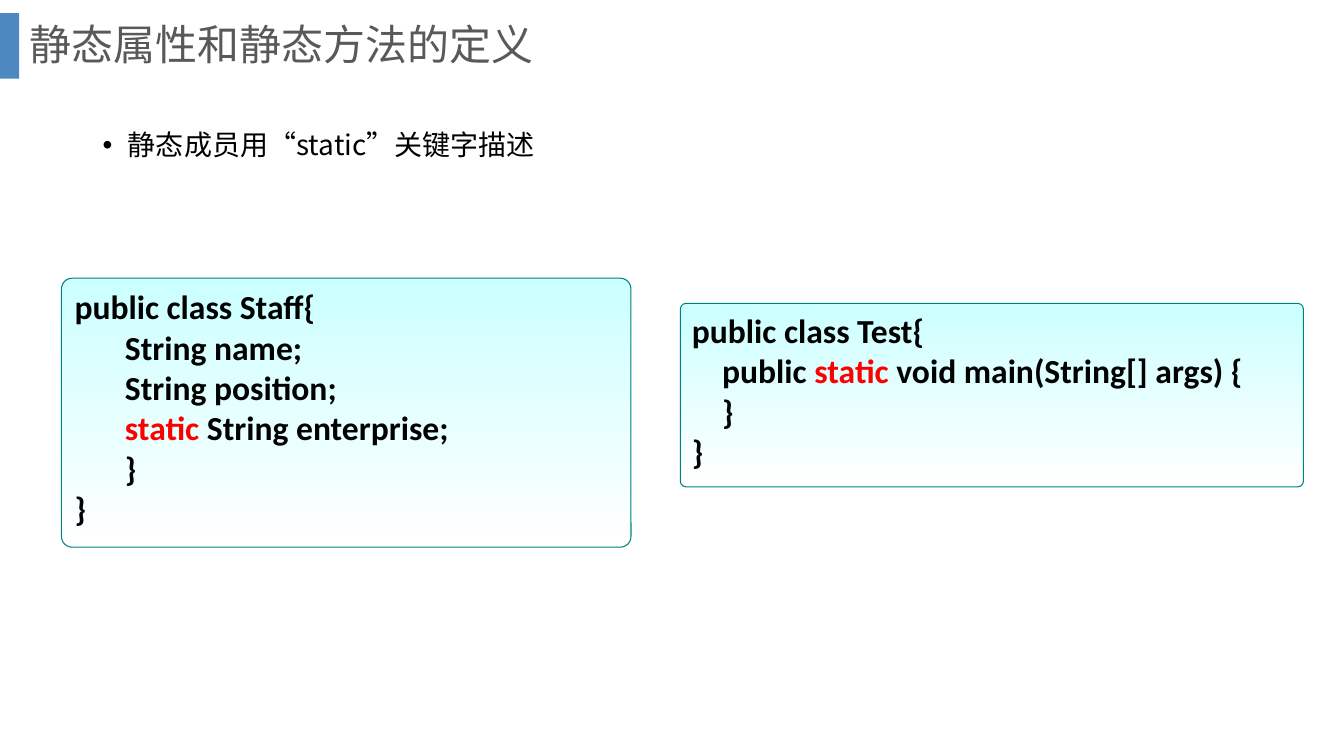
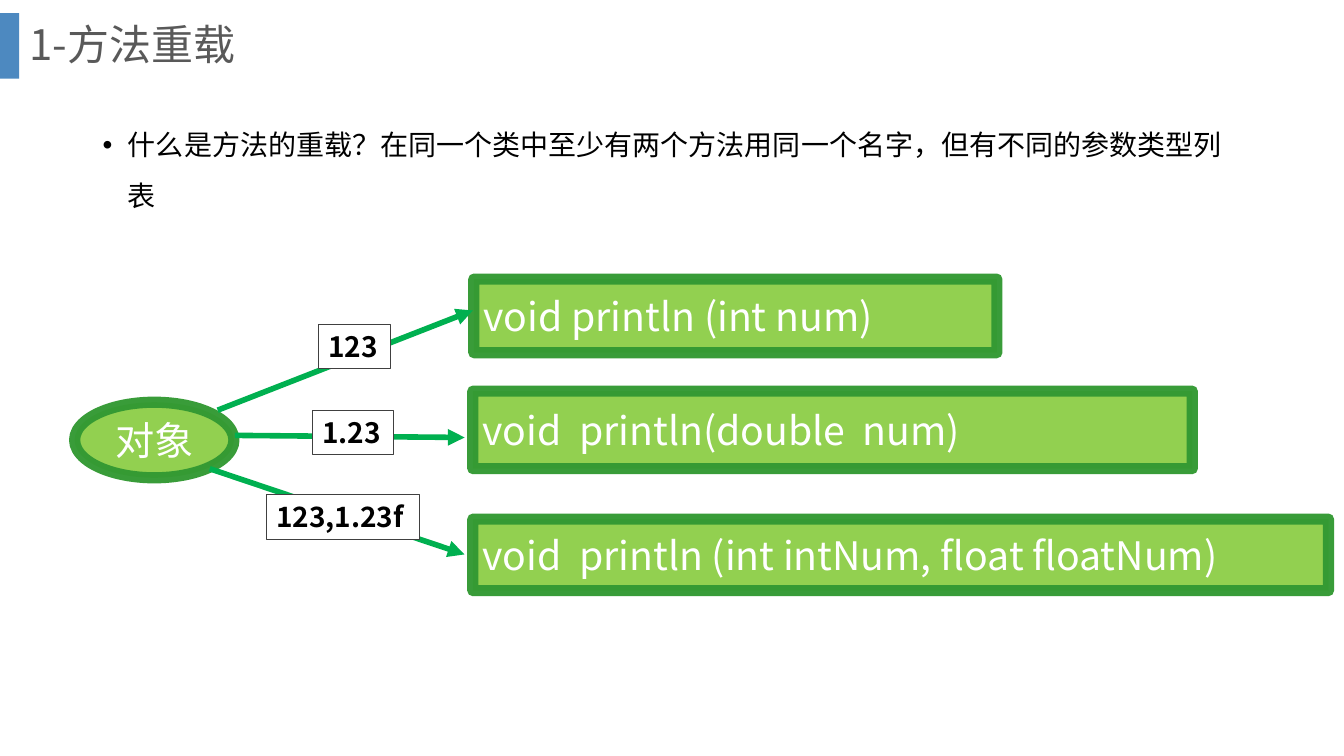
from dataclasses import dataclass

from pptx import Presentation
from pptx.dml.color import RGBColor
from pptx.enum.shapes import MSO_CONNECTOR as Connector, MSO_SHAPE as Shape
from pptx.enum.text import MSO_ANCHOR as Anchor, MSO_AUTO_SIZE as AutoSize, PP_ALIGN as Align
from pptx.oxml.ns import qn
from pptx.util import Pt
from lxml.etree import SubElement


@dataclass(frozen=True)
class Theme:
    font: str = "Noto Sans CJK SC"
    code_font: str = "Calibri"
    title_size: float = 30
    body_size: float = 20
    code_size: float = 24
    node_size: float = 28
    black: str = "000000"
    white: str = "FFFFFF"
    title: str = "595959"
    band: str = "2E75B6"
    keyword: str = "FF0000"
    code_top: str = "CCFFFF"
    code_edge: str = "008080"
    node: str = "92D050"
    node_edge: str = "339933"
    arrow: str = "00B050"
    label_edge: str = "404040"


THEME = Theme()
TITLE_AREA = (13.7, 0, 911.5, 67)
BODY_AREA = (66.2, 75.6, 828, 443.5)
BAND_AREA = (0, 9.4, 13.7, 46.8)


# Text and colour helpers
def rgb(value):
    return RGBColor.from_string(value)


def add_span(para, text, size, color, font=THEME.font, bold=False):
    span = para.add_run()
    span.text = text
    span.font.size = Pt(size)
    span.font.bold = bold
    span.font.color.rgb = rgb(color)
    span.font.name = font
    props = span._r.get_or_add_rPr()
    SubElement(props, qn("a:ea")).set("typeface", font)


def set_indent(para, left, first=0):
    props = para._p.get_or_add_pPr()
    props.set("marL", str(Pt(left)))
    props.set("indent", str(Pt(first)))
    return props


def set_alpha(fill_parent, percent):
    color = fill_parent.find(qn("a:solidFill"))[0]
    SubElement(color, qn("a:alpha")).set("val", str(percent * 1000))


# Shared layout
def place(shape, area):
    shape.left, shape.top, shape.width, shape.height = map(Pt, area)


def prepare_layout(deck):
    """Put the placeholder areas and the blue band on the layout."""
    layout = deck.slide_layouts[1]
    place(layout.placeholders[0], TITLE_AREA)
    place(layout.placeholders[1], BODY_AREA)
    return layout


def add_band(page):
    band = add_box(page, Shape.RECTANGLE, BAND_AREA, THEME.band)
    set_alpha(band.element.spPr, 85)
    page.slide_layout.shapes.element.insert(2, band.element)


def add_page(deck, layout, title, bullet):
    page = deck.slides.add_slide(layout)
    frame = page.shapes.title.text_frame
    frame.vertical_anchor = Anchor.MIDDLE
    frame.auto_size = AutoSize.NONE
    para = frame.paragraphs[0]
    para.alignment = Align.LEFT
    para.line_spacing = 0.9
    add_span(para, title, THEME.title_size, THEME.title)

    frame = page.placeholders[1].text_frame
    frame.auto_size = AutoSize.NONE
    para = frame.paragraphs[0]
    para.line_spacing = 1.5
    para.space_before = Pt(10)
    props = set_indent(para, 18, -18)
    SubElement(props, qn("a:buFont")).set("typeface", "Arial")
    SubElement(props, qn("a:buChar")).set("char", "•")
    add_span(para, bullet, THEME.body_size, THEME.black)
    return page


# Shapes
def add_box(page, kind, area, fill=None, edge=None, edge_width=0.75):
    box = page.shapes.add_shape(kind, *map(Pt, area))
    box.shadow.inherit = False
    if fill:
        box.fill.solid()
        box.fill.fore_color.rgb = rgb(fill)
    if edge:
        box.line.color.rgb = rgb(edge)
        box.line.width = Pt(edge_width)
    else:
        box.line.fill.background()
    return box


def add_code(page, area, corner, lines):
    """Each line is (indent, spans); the span "static" is highlighted."""
    box = add_box(page, Shape.ROUNDED_RECTANGLE, area, edge=THEME.code_edge)
    box.adjustments[0] = corner
    box.fill.gradient()
    box.fill.gradient_angle = 270
    stops = zip(box.fill.gradient_stops, (THEME.code_top, THEME.white))
    for position, (stop, color) in enumerate(stops):
        stop.position = position
        stop.color.rgb = rgb(color)
    frame = box.text_frame
    frame.vertical_anchor = Anchor.TOP
    for number, (indent, spans) in enumerate(lines):
        para = frame.add_paragraph() if number else frame.paragraphs[0]
        para.alignment = Align.LEFT
        set_indent(para, indent)
        for text in spans:
            color = THEME.keyword if text == "static" else THEME.black
            add_span(para, text, THEME.code_size, color, THEME.code_font, True)


def add_node(page, kind, area, text, align=Align.LEFT):
    box = add_box(page, kind, area, THEME.node, THEME.node_edge, 8)
    set_alpha(box.element.spPr.find(qn("a:ln")), 96)
    box.text_frame.vertical_anchor = Anchor.MIDDLE
    para = box.text_frame.paragraphs[0]
    para.alignment = align
    add_span(para, text, THEME.node_size, THEME.white)


def add_arrow(page, start, end):
    arrow = page.shapes.add_connector(Connector.STRAIGHT, *map(Pt, start + end))
    arrow.line.color.rgb = rgb(THEME.arrow)
    arrow.line.width = Pt(4)
    props = arrow.element.spPr
    SubElement(props.find(qn("a:ln")), qn("a:tailEnd")).set("type", "triangle")
    SubElement(props, qn("a:effectLst"))


def add_label(page, left, top, width, text):
    box = add_box(page, Shape.RECTANGLE, (left, top, width, 31.7), THEME.white, THEME.label_edge)
    box.text_frame.word_wrap = False
    box.text_frame.vertical_anchor = Anchor.TOP
    para = box.text_frame.paragraphs[0]
    para.alignment = Align.LEFT
    add_span(para, text, THEME.body_size, THEME.black, bold=True)


# Pages
def build_static_page(deck, layout):
    page = add_page(deck, layout, "静态属性和静态方法的定义", "静态成员用“static”关键字描述")
    add_band(page)
    add_code(page, (43.9, 198.7, 406.8, 192.2), 0.04, [
        (0, ["public class Staff{"]),
        (36, ["String name;"]),
        (36, ["String position;"]),
        (36, ["static", " String enterprise;"]),
        (36, ["}"]),
        (0, ["}"]),
    ])
    add_code(page, (486, 216.7, 445, 131), 0.03, [
        (0, ["public class Test{"]),
        (21.6, ["public ", "static", " void main(String[] args) {"]),
        (21.6, ["}"]),
        (0, ["}"]),
    ])


def build_overload_page(deck, layout):
    page = add_page(deck, layout, "1-方法重载",
                    "什么是方法的重载？在同一个类中至少有两个方法用同一个名字，但有不同的参数类型列表")
    add_node(page, Shape.OVAL, (53.3, 287.3, 113.8, 54), "对象", Align.CENTER)
    # Signature area and text, arrow ends, label place and text
    overloads = [
        ((338.4, 199.4, 373.7, 52.6), "void println (int num)",
         (155.5, 293), (337.7, 221.8), (227.5, 231.8, 51.8), "123"),
        ((337.7, 279.4, 514, 55.4), "void  println(double  num)",
         (167.8, 311), (331.9, 312.5), (223.2, 293, 57.6), "1.23"),
        ((337.7, 370.8, 611.3, 51.1), "void  println (int intNum, float floatNum)",
         (149.8, 334.8), (331.9, 396), (190.1, 353.5, 109.4), "123,1.23f"),
    ]
    for area, signature, start, end, label_place, label in overloads:
        add_node(page, Shape.RECTANGLE, area, signature)
        add_arrow(page, start, end)
        add_label(page, *label_place, label)


def main():
    deck = Presentation()
    deck.slide_width, deck.slide_height = Pt(960), Pt(540)
    layout = prepare_layout(deck)
    build_static_page(deck, layout)
    build_overload_page(deck, layout)
    deck.save("out.pptx")


if __name__ == "__main__":
    main()
